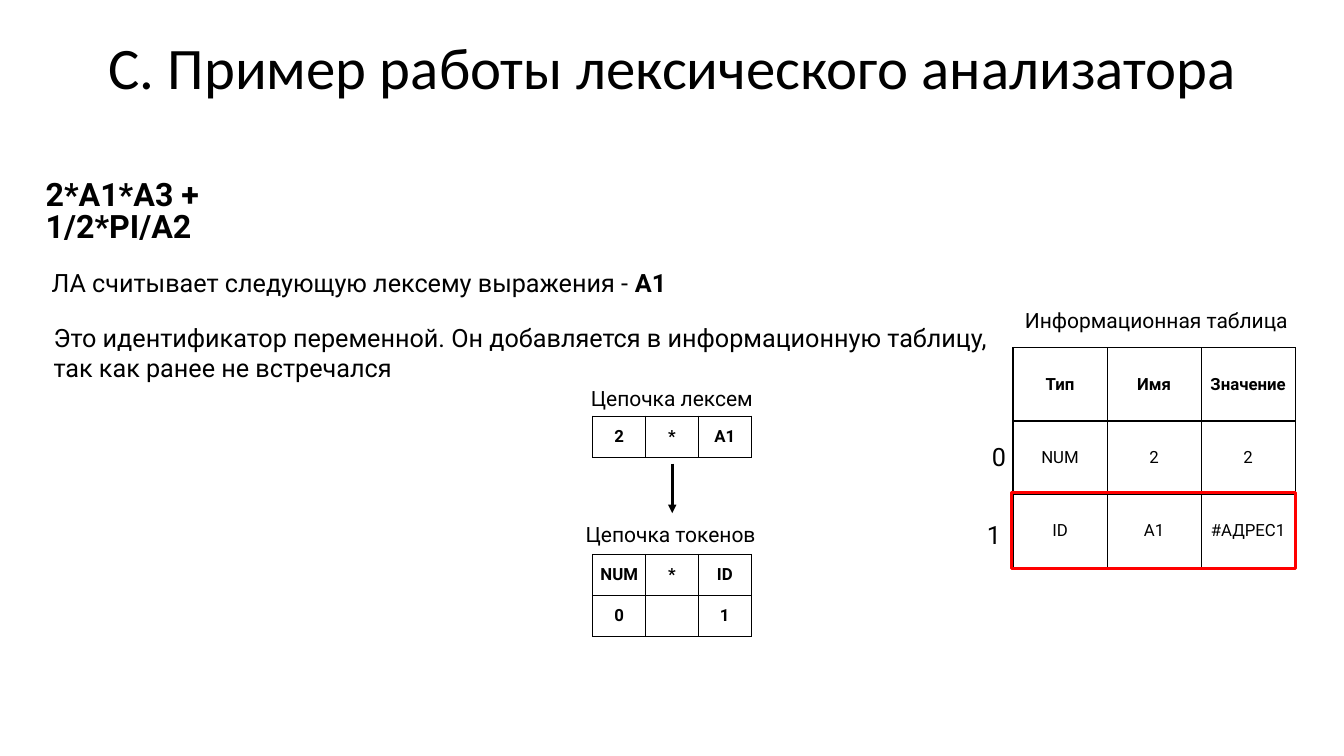
"""Builds a slide that shows one step of a lexical analyser."""
from dataclasses import dataclass

from lxml import etree
from pptx import Presentation
from pptx import util as u
from pptx.dml.color import RGBColor
from pptx.enum import shapes, text
from pptx.oxml import ns


@dataclass
class Theme:
    ink: RGBColor = RGBColor(0, 0, 0)
    paper: RGBColor = RGBColor(255, 255, 255)
    accent: RGBColor = RGBColor(255, 0, 0)
    title_font: str = "Calibri"
    body_font: str = "Roboto"
    title_size: int = 42
    formula_size: int = 23
    body_size: int = 18
    caption_size: int = 15
    cell_size: int = 12
    inset: float = 0.13
    cell_border: int = 1
    line_width: int = 2


theme = Theme()


def format_run(run, size, bold=False, name=theme.body_font):
    run.font.name = name
    run.font.size = u.Pt(size)
    run.font.bold = bold
    run.font.color.rgb = theme.ink


def set_insets(frame):
    frame.margin_left = frame.margin_right = u.Cm(theme.inset)
    frame.margin_top = frame.margin_bottom = u.Cm(theme.inset)


presentation = Presentation()
presentation.slide_width = u.Cm(33.87)
presentation.slide_height = u.Cm(19.05)
slide = presentation.slides.add_slide(presentation.slide_layouts[5])

title = slide.shapes.title
title.left, title.top, title.width, title.height = u.Cm(2.34), u.Cm(0.64), u.Cm(29.21), u.Cm(2.29)
title.text_frame.text = "C. Пример работы лексического анализатора"
title.text_frame.auto_size = text.MSO_AUTO_SIZE.NONE
title.text_frame.vertical_anchor = text.MSO_ANCHOR.MIDDLE
set_insets(title.text_frame)
title_paragraph = title.text_frame.paragraphs[0]
title_paragraph.alignment = text.PP_ALIGN.CENTER
title_paragraph.line_spacing = 0.9
format_run(title_paragraph.runs[0], theme.title_size, name=theme.title_font)

formula = slide.shapes.add_textbox(u.Cm(1.02), u.Cm(4.45), u.Cm(7.8), u.Cm(1.24))
formula.text_frame.word_wrap = True
formula.text_frame.text = "2*A1*A3 + 1/2*PI/A2"
set_insets(formula.text_frame)
formula_paragraph = formula.text_frame.paragraphs[0]
formula_paragraph.line_spacing = 0.81
formula_paragraph.space_before = u.Pt(10)
format_run(formula_paragraph.runs[0], theme.formula_size, bold=True)

labels = [
    (1.17, 6.6, 15.88, 1.04, theme.body_size, "ЛА считывает следующую лексему выражения - ", "A1"),
    (1.22, 7.98, 24.03, 1.8, theme.body_size,
     "Это идентификатор переменной. Он добавляется в информационную таблицу,\n"
     "так как ранее не встречался", ""),
    (14.76, 9.58, 4.37, 0.89, theme.caption_size, "Цепочка лексем", ""),
    (14.63, 13, 4.6, 0.89, theme.caption_size, "Цепочка токенов", ""),
    (25.7, 7.62, 6.93, 0.89, theme.caption_size, "Информационная таблица", ""),
    (24.87, 11, 0.64, 1.04, theme.body_size, "0", ""),
    (24.74, 12.95, 0.64, 1.04, theme.body_size, "1", ""),
]
for left, top, width, height, size, words, lexeme in labels:
    label = slide.shapes.add_textbox(u.Cm(left), u.Cm(top), u.Cm(width), u.Cm(height))
    label.text_frame.word_wrap = False
    label.text_frame.text = words
    set_insets(label.text_frame)
    for paragraph in label.text_frame.paragraphs:
        format_run(paragraph.runs[0], size)
    if lexeme:
        run = label.text_frame.paragraphs[0].add_run()
        run.text = lexeme
        format_run(run, size, bold=True)

tables = [
    (14.94, 10.49, 1.33, 1.03, 1, [["2", "*", "A1"]]),
    (14.94, 13.97, 1.33, 1.03, 2, [["NUM", "*", "ID"], ["0", "", "1"]]),
    (25.53, 8.76, 2.37, 1.85, 1,
     [["Тип", "Имя", "Значение"], ["NUM", "2", "2"], ["ID", "A1", "#АДРЕС1"]]),
]
for left, top, column_width, row_height, bold_rows, rows in tables:
    table = slide.shapes.add_table(
        len(rows), len(rows[0]), u.Cm(left), u.Cm(top),
        u.Cm(column_width * len(rows[0])), u.Cm(row_height * len(rows))).table
    table.first_row = table.horz_banding = False
    for column in table.columns:
        column.width = u.Cm(column_width)
    for row_index, words_in_row in enumerate(rows):
        table.rows[row_index].height = u.Cm(row_height)
        for column_index, words in enumerate(words_in_row):
            cell = table.cell(row_index, column_index)
            cell.text_frame.text = words
            cell.vertical_anchor = text.MSO_ANCHOR.MIDDLE
            cell.margin_left = cell.margin_right = cell.margin_top = cell.margin_bottom = 0
            paragraph = cell.text_frame.paragraphs[0]
            paragraph.alignment = text.PP_ALIGN.CENTER
            for run in paragraph.runs:
                format_run(run, theme.cell_size, bold=row_index < bold_rows)
            cell_properties = cell._tc.get_or_add_tcPr()
            for side in ("a:lnL", "a:lnR", "a:lnT", "a:lnB"):
                border = etree.SubElement(cell_properties, ns.qn(side), w=str(u.Pt(theme.cell_border)))
                border_fill = etree.SubElement(border, ns.qn("a:solidFill"))
                etree.SubElement(border_fill, ns.qn("a:srgbClr"), val=str(theme.ink))
            cell.fill.solid()
            cell.fill.fore_color.rgb = theme.paper

arrow = slide.shapes.add_connector(
    shapes.MSO_CONNECTOR.STRAIGHT, u.Cm(16.94), u.Cm(11.68), u.Cm(16.94), u.Cm(12.93))
arrow.line.color.rgb = theme.ink
arrow.line.width = u.Pt(theme.line_width)
etree.SubElement(arrow.line._get_or_add_ln(), ns.qn("a:tailEnd"), type="triangle")
etree.SubElement(arrow._element.spPr, ns.qn("a:effectLst"))

highlight = slide.shapes.add_shape(
    shapes.MSO_SHAPE.RECTANGLE, u.Cm(25.5), u.Cm(12.42), u.Cm(7.16), u.Cm(1.9))
highlight.shadow.inherit = False
highlight.fill.background()
highlight.line.color.rgb = theme.accent
highlight.line.width = u.Pt(theme.line_width)

presentation.save("out.pptx")
